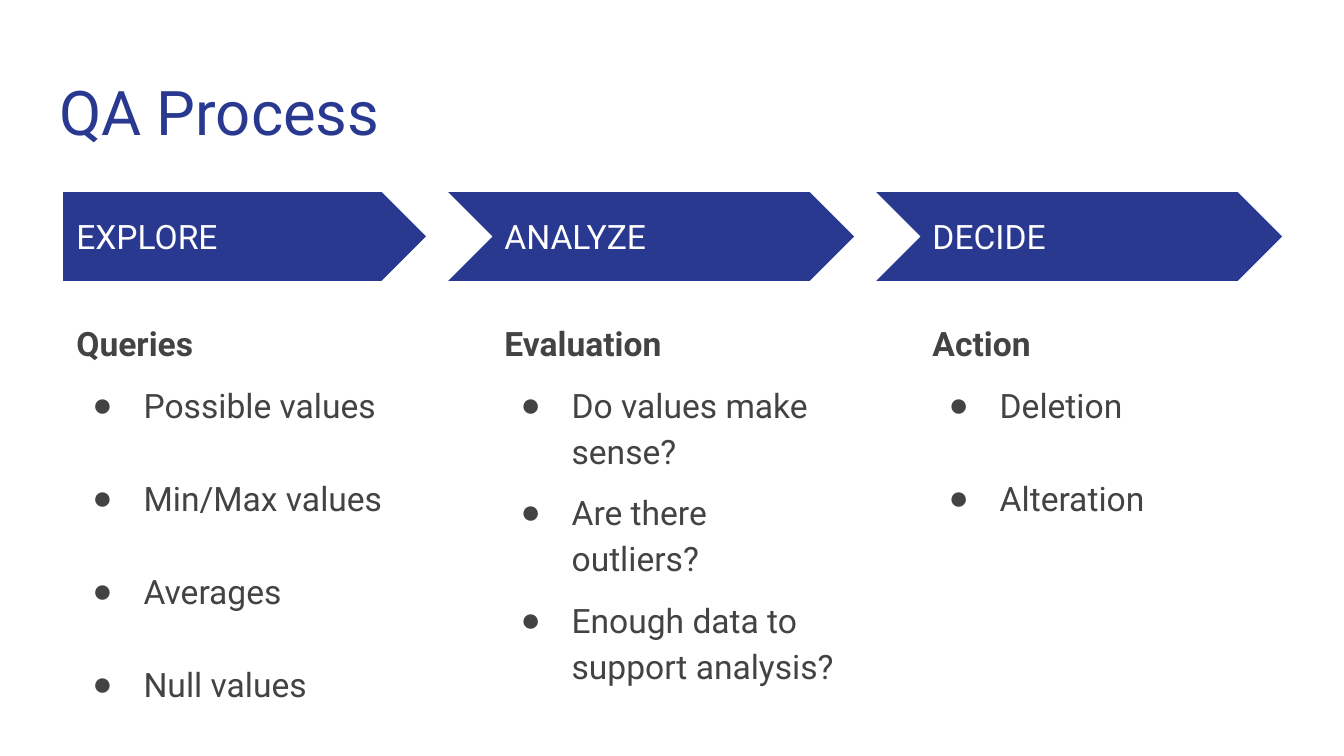
from pptx import Presentation
from pptx.dml.color import RGBColor
from pptx.enum.shapes import MSO_SHAPE as Shape
from pptx.enum.text import MSO_ANCHOR as Anchor, MSO_AUTO_SIZE as AutoSize, PP_ALIGN as Align
from pptx.oxml.ns import qn
from pptx.util import Inches, Pt
from lxml import etree

BLUE, GREY, WHITE = "2A3990", "434343", "FFFFFF"
FONT, BULLET_FONT = "Roboto", "Arial"
LINE_GAP = 25  # points, one line of body text

# Heading, subheading, bullets, space before bullets after the first
STAGES = [
    ("EXPLORE", "Queries",
     ["Possible values", "Min/Max values", "Averages", "Null values"], LINE_GAP),
    ("ANALYZE", "Evaluation",
     ["Do values make sense?", "Are there outliers?",
      "Enough data to support analysis?"], 8),
    ("DECIDE", "Action", ["Deletion", "Alteration"], LINE_GAP),
]


def color(value):
    return RGBColor.from_string(value)


def style(paragraph, size, text_color, bold=False):
    paragraph.alignment = Align.LEFT
    font = paragraph.font
    font.name, font.size, font.bold = FONT, Pt(size), bold
    font.color.rgb = color(text_color)


def set_frame(frame, anchor):
    frame.word_wrap = True
    frame.auto_size = AutoSize.NONE
    frame.vertical_anchor = anchor
    frame.margin_left = frame.margin_right = Inches(0.1)
    frame.margin_top = frame.margin_bottom = Inches(0.1)


def add_text(slide, left, top, width, height, anchor=Anchor.TOP):
    box = slide.shapes.add_textbox(
        Inches(left), Inches(top), Inches(width), Inches(height))
    set_frame(box.text_frame, anchor)
    return box.text_frame


def add_bullet(paragraph):
    properties = paragraph._p.get_or_add_pPr()
    properties.set("marL", str(Inches(0.5)))
    properties.set("indent", str(Inches(-0.38)))
    bullet_font = etree.SubElement(properties, qn("a:buFont"))
    bullet_font.set("typeface", BULLET_FONT)
    bullet = etree.SubElement(properties, qn("a:buChar"))
    bullet.set("char", "●")
    # The default run properties come last in the schema
    defaults = properties.find(qn("a:defRPr"))
    if defaults is not None:
        properties.append(defaults)


def add_title(slide, text, left, top, width, height):
    title = slide.shapes.title
    title.left, title.top = Inches(left), Inches(top)
    title.width, title.height = Inches(width), Inches(height)
    set_frame(title.text_frame, Anchor.TOP)
    title.text_frame.text = text
    style(title.text_frame.paragraphs[0], 33, BLUE)


def add_arrow(slide, kind, left, top, width, height):
    arrow = slide.shapes.add_shape(
        kind, Inches(left), Inches(top), Inches(width), Inches(height))
    arrow.adjustments[0] = 0.5
    arrow.shadow.inherit = False
    arrow.fill.solid()
    arrow.fill.fore_color.rgb = color(BLUE)
    arrow.line.fill.background()


def add_stage(slide, stage, left, top, width, first):
    heading, subheading, bullets, gap = stage

    # Arrow: a chevron's notch reaches left of the column
    notch = 0 if first else 0.32
    kind = Shape.PENTAGON if first else Shape.CHEVRON
    add_arrow(slide, kind, left - notch, top, width + notch, 0.66)

    # Heading on the arrow
    frame = add_text(slide, left, top + 0.16, width - 0.23, 0.34, Anchor.MIDDLE)
    frame.text = heading
    style(frame.paragraphs[0], 18, WHITE)

    # Subheading and bullets
    frame = add_text(slide, left, top + 0.83, width, 2.9)
    frame.text = subheading
    style(frame.paragraphs[0], 18, GREY, bold=True)
    frame.paragraphs[0].line_spacing = 1.15
    for index, text in enumerate(bullets):
        paragraph = frame.add_paragraph()
        paragraph.text = text
        style(paragraph, 18, GREY)
        paragraph.line_spacing = 1.15
        paragraph.space_before = Pt(gap if index else 8)
        add_bullet(paragraph)


def main():
    presentation = Presentation()
    presentation.slide_width = Inches(10)
    presentation.slide_height = Inches(10) * 9 // 16
    slide = presentation.slides.add_slide(presentation.slide_layouts[5])
    slide.background.fill.solid()
    slide.background.fill.fore_color.rgb = color(WHITE)

    add_title(slide, "QA Process", 0.34, 0.45, 9.32, 0.66)

    # Columns, evenly spaced from the first to the last
    first_left, last_left = 0.47, 6.84
    pitch = (last_left - first_left) / (len(STAGES) - 1)
    for index, stage in enumerate(STAGES):
        add_stage(slide, stage, first_left + index * pitch, 1.43, 2.7, index == 0)
    presentation.save("out.pptx")


if __name__ == "__main__":
    main()
